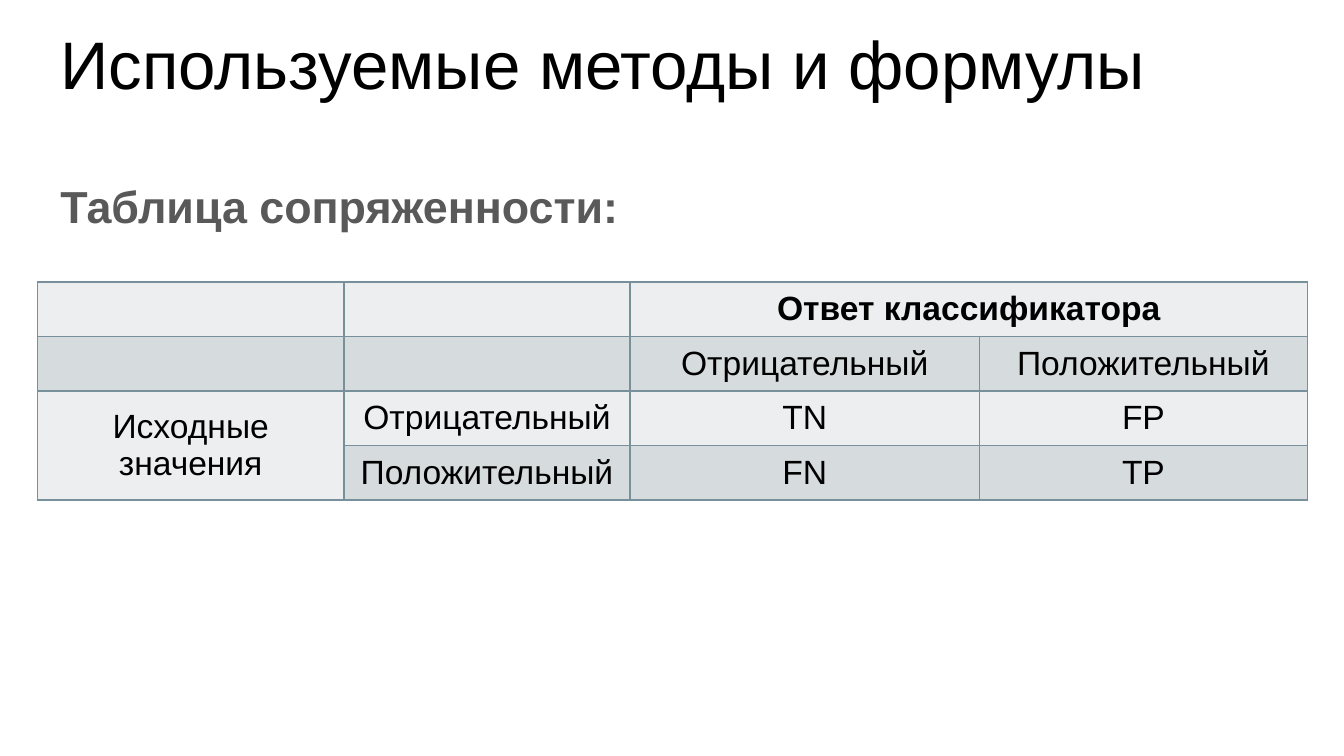
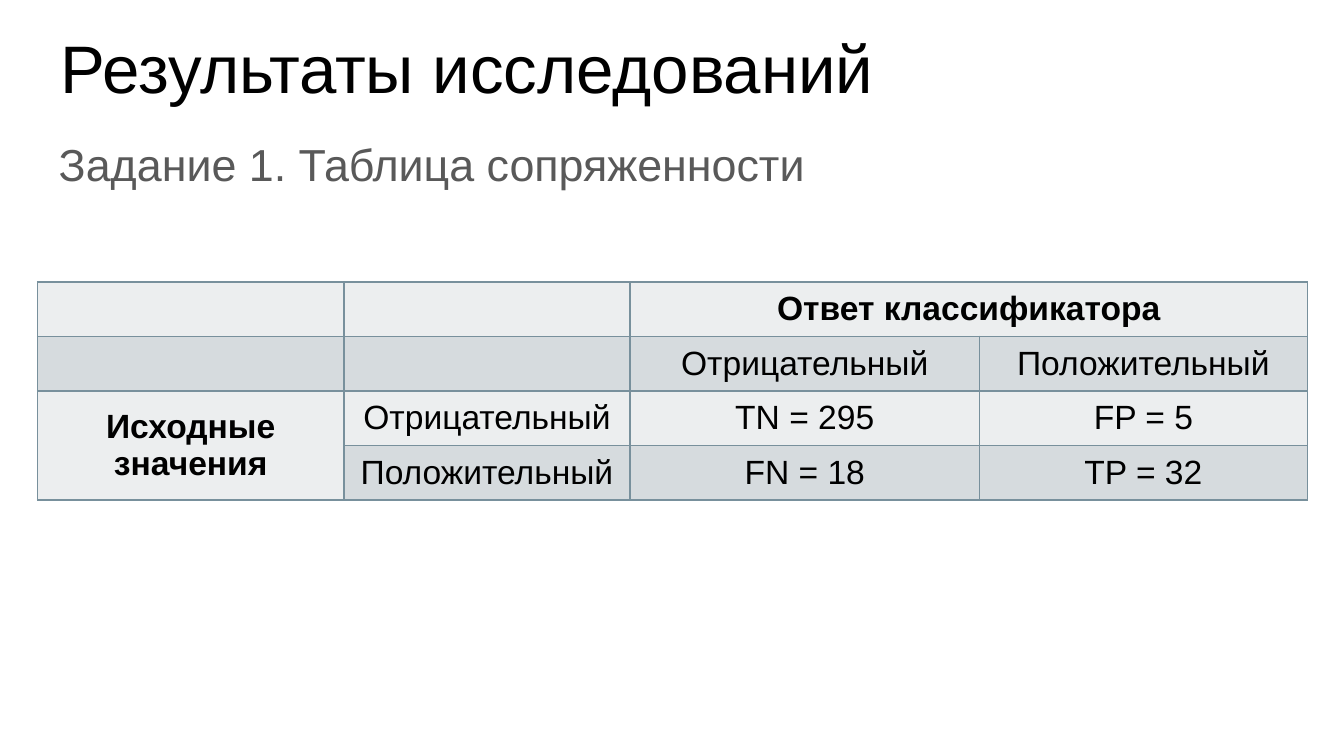
from lxml import etree
from pptx import Presentation
from pptx.dml.color import RGBColor
from pptx.enum.text import MSO_ANCHOR, MSO_AUTO_SIZE, PP_ALIGN
from pptx.oxml.ns import qn
from pptx.util import Cm, Pt

LEFT, CENTER = PP_ALIGN.LEFT, PP_ALIGN.CENTER
TOP, MIDDLE = MSO_ANCHOR.TOP, MSO_ANCHOR.MIDDLE
NO_AUTOFIT = MSO_AUTO_SIZE.NONE

FONT = "Arial"
BLACK = RGBColor(0x00, 0x00, 0x00)
GRAY = RGBColor(0x59, 0x59, 0x59)
BORDER = RGBColor(0x78, 0x90, 0x9C)
ROW_FILLS = RGBColor(0xEC, 0xEE, 0xEF), RGBColor(0xD6, 0xDB, 0xDE)

NEGATIVE, POSITIVE = "Отрицательный", "Положительный"
ANSWER, ACTUAL = "Ответ классификатора", "Исходные значения"

# Boxes are left, top, width, height in centimetres.
SLIDES = [
    {
        "title": "Используемые методы и формулы",
        "title_box": (0.89, 0.08, 23.67, 1.6),
        "body": "Таблица сопряженности:",
        "body_box": (0.89, 2.93, 23.67, 8.88),
        "body_bold": True,
        "counts": [("TN", "FP"), ("FN", "TP")],
        "bold_cells": {ANSWER},
    },
    {
        "title": "Результаты исследований",
        "title_box": (0.89, 0.15, 23.67, 1.6),
        "body": "Задание 1. Таблица сопряженности",
        "body_box": (0.86, 2.13, 23.67, 10.54),
        "body_bold": False,
        "counts": [("TN = 295", "FP = 5"), ("FN = 18", "TP = 32")],
        "bold_cells": {ANSWER, ACTUAL},
    },
]

TABLE_LEFT, TABLE_TOP = 0.71, 5.33
COLUMN_WIDTHS = (5.79, 5.41, 6.6, 6.2)
ROW_HEIGHT = 1.03


def write(text_frame, text, size, color=BLACK, bold=False, align=LEFT, spacing=1.0):
    paragraph = text_frame.paragraphs[0]
    paragraph.alignment = align
    paragraph.line_spacing = spacing
    paragraph.space_before = Pt(0)
    run = paragraph.add_run()
    run.text = text
    run.font.name = FONT
    run.font.size = Pt(size)
    run.font.bold = bold
    run.font.color.rgb = color
    return paragraph


def place(placeholder, box, top_margin):
    placeholder.left, placeholder.top, placeholder.width, placeholder.height = map(Cm, box)
    text_frame = placeholder.text_frame
    text_frame.word_wrap = True
    text_frame.auto_size = NO_AUTOFIT
    text_frame.vertical_anchor = TOP
    text_frame.margin_left = text_frame.margin_right = text_frame.margin_bottom = Cm(0.25)
    text_frame.margin_top = Cm(top_margin)
    return text_frame


def remove_bullet(paragraph):
    properties = paragraph._p.get_or_add_pPr()
    properties.set("marL", "0")
    properties.set("indent", "0")
    etree.SubElement(properties, qn("a:buNone"))


def add_borders(cell):
    properties = cell._tc.get_or_add_tcPr()
    for side in ("lnL", "lnR", "lnT", "lnB"):
        line = etree.SubElement(properties, qn(f"a:{side}"), w=str(Pt(1)))
        fill = etree.SubElement(line, qn("a:solidFill"))
        etree.SubElement(fill, qn("a:srgbClr"), val=str(BORDER))


def add_contingency_table(slide, counts, bold_cells):
    rows = [
        ("", "", ANSWER, ""),
        ("", "", NEGATIVE, POSITIVE),
        (ACTUAL, NEGATIVE, *counts[0]),
        ("", POSITIVE, *counts[1]),
    ]
    table = slide.shapes.add_table(
        len(rows), len(COLUMN_WIDTHS), Cm(TABLE_LEFT), Cm(TABLE_TOP),
        Cm(sum(COLUMN_WIDTHS)), Cm(ROW_HEIGHT * len(rows)),
    ).table
    table.first_row = table.horz_banding = False
    for column, width in zip(table.columns, COLUMN_WIDTHS):
        column.width = Cm(width)
    for row_index, texts in enumerate(rows):
        table.rows[row_index].height = Cm(ROW_HEIGHT)
        for column_index, text in enumerate(texts):
            cell = table.cell(row_index, column_index)
            add_borders(cell)
            cell.fill.solid()
            cell.fill.fore_color.rgb = ROW_FILLS[row_index % 2]
            cell.vertical_anchor = MIDDLE
            if text:
                write(cell.text_frame, text, 18, bold=text in bold_cells, align=CENTER)
    table.cell(0, 2).merge(table.cell(0, 3))
    table.cell(2, 0).merge(table.cell(3, 0))


def main():
    presentation = Presentation()
    presentation.slide_width, presentation.slide_height = Cm(25.4), Cm(14.29)
    for content in SLIDES:
        slide = presentation.slides.add_slide(presentation.slide_layouts[1])
        title = place(slide.shapes.title, content["title_box"], top_margin=0.35)
        write(title, content["title"], 36)
        body = place(slide.placeholders[1], content["body_box"], top_margin=0.3)
        remove_bullet(write(body, content["body"], 24, color=GRAY,
                            bold=content["body_bold"], spacing=1.15))
        add_contingency_table(slide, content["counts"], content["bold_cells"])
    presentation.save("out.pptx")


if __name__ == "__main__":
    main()
